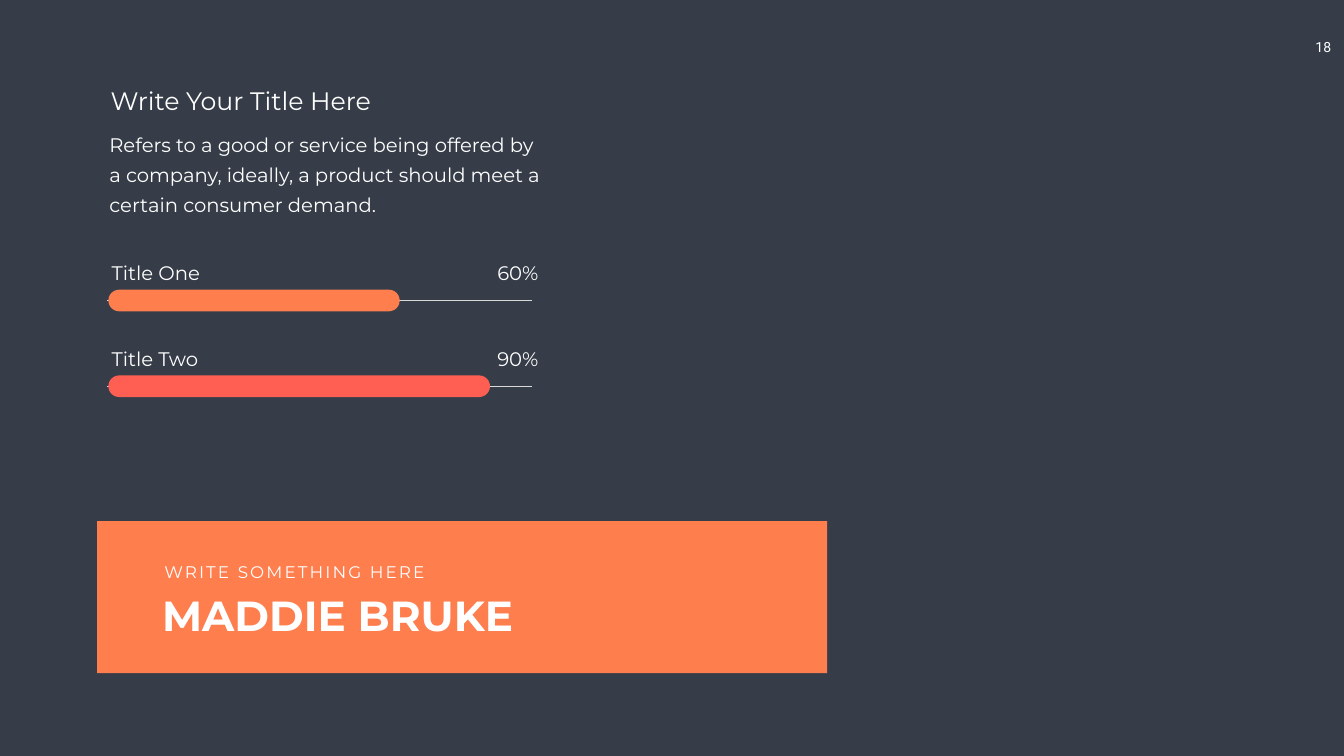
from pptx import Presentation
from pptx.dml.color import RGBColor
from pptx.enum.shapes import MSO_CONNECTOR, MSO_SHAPE
from pptx.enum.text import MSO_ANCHOR, PP_ALIGN
from pptx.oxml.ns import qn
from pptx.util import Cm, Pt

LEFT, CENTER, RIGHT = PP_ALIGN.LEFT, PP_ALIGN.CENTER, PP_ALIGN.RIGHT
TOP = MSO_ANCHOR.TOP
RECT, ROUND_RECT = MSO_SHAPE.RECTANGLE, MSO_SHAPE.ROUNDED_RECTANGLE
STRAIGHT = MSO_CONNECTOR.STRAIGHT

COLORS = {
    "background": "363D48",
    "text": "FFFFFF",
    "orange": "FE7E4E",
    "red": "FE5F52",
    "track": "D9D9D9",
}


def color(name):
    return RGBColor.from_string(COLORS[name])


def write(sp, text, size, align=LEFT, font="Montserrat", bold=False, inset=(0.25, 0.13)):
    """Fill a text shape with one paragraph and return the paragraph."""
    tf = sp.text_frame
    tf.word_wrap = True
    tf.vertical_anchor = TOP
    tf.margin_left = tf.margin_right = Cm(inset[0])
    tf.margin_top = tf.margin_bottom = Cm(inset[1])
    p = tf.paragraphs[0]
    p.text = text
    p.alignment = align
    p.font.name = font
    p.font.size = Pt(size)
    p.font.bold = bold
    p.font.color.rgb = color("text")
    return p


def add_text(slide, x, y, w, h, text, size, **style):
    sp = slide.shapes.add_textbox(Cm(x), Cm(y), Cm(w), Cm(h))
    return write(sp, text, size, **style)


def add_block(slide, kind, x, y, w, h, fill):
    sp = slide.shapes.add_shape(kind, Cm(x), Cm(y), Cm(w), Cm(h))
    sp.shadow.inherit = False
    sp.fill.solid()
    sp.fill.fore_color.rgb = color(fill)
    sp.line.fill.background()
    return sp


def add_intro(slide, x, y, w):
    title = slide.shapes.title
    title.left, title.top, title.width, title.height = Cm(x + 0.43), Cm(y), Cm(16.59), Cm(1.8)
    write(title, "Write Your Title Here", 36)
    p = add_text(slide, x, y + 1.9, w, 5.08,
                 "Refers to a good or service being offered by a company, ideally, "
                 "a product should meet a certain consumer demand.",
                 28, inset=(0.61, 0.3))
    p.line_spacing = Pt(43)


def add_progress(slide, x, y, w, label, value, bar_width, fill):
    """Place a label and value above a rounded bar on a thin track."""
    value_width, bar_height, bar_top = 3.43, 1.09, 1.57
    add_text(slide, x, y, 5.69, 1.45, label, 28)
    add_text(slide, x + w - value_width, y, value_width, 1.45, value, 28, align=RIGHT)
    track_y = Cm(y + bar_top + bar_height / 2)
    track = slide.shapes.add_connector(STRAIGHT, Cm(x), track_y, Cm(x + w - 0.56), track_y)
    track.line.color.rgb = color("track")
    track.line.width = Pt(1)
    properties = track._element.spPr
    properties.append(properties.makeelement(qn("a:effectLst"), {}))
    bar = add_block(slide, ROUND_RECT, x + 0.08, y + bar_top, bar_width, bar_height, fill)
    bar.adjustments[0] = 0.5


def add_name_banner(slide, x, y, w, h):
    add_block(slide, RECT, x, y, w, h, "orange")
    add_text(slide, x + 3.02, y + 3.31, 25.35, 2.82, "MADDIE BRUKE", 60, bold=True)
    p = add_text(slide, x + 3.13, y + 1.91, 15, 1.27, "WRITE SOMETHING HERE", 24)
    p.runs[0].font._element.set("spc", "300")


def main():
    prs = Presentation()
    prs.slide_width, prs.slide_height = Cm(67.72), Cm(38.1)
    slide = prs.slides.add_slide(prs.slide_layouts[5])
    slide.background.fill.solid()
    slide.background.fill.fore_color.rgb = color("background")

    add_text(slide, 65.64, 1.7, 2.08, 1.37, "18", 20,
             align=CENTER, font="Roboto", inset=(0.25, 0.25))
    add_name_banner(slide, 4.9, 26.26, 36.78, 7.67)
    add_intro(slide, 4.9, 4.17, 23.11)
    levels = [
        ("Title One", "60%", 14.68, "orange"),
        ("Title Two", "90%", 19.23, "red"),
    ]
    for i, level in enumerate(levels):
        add_progress(slide, 5.38, 13.03 + i * 4.32, 22, *level)
    prs.save("out.pptx")


if __name__ == "__main__":
    main()
